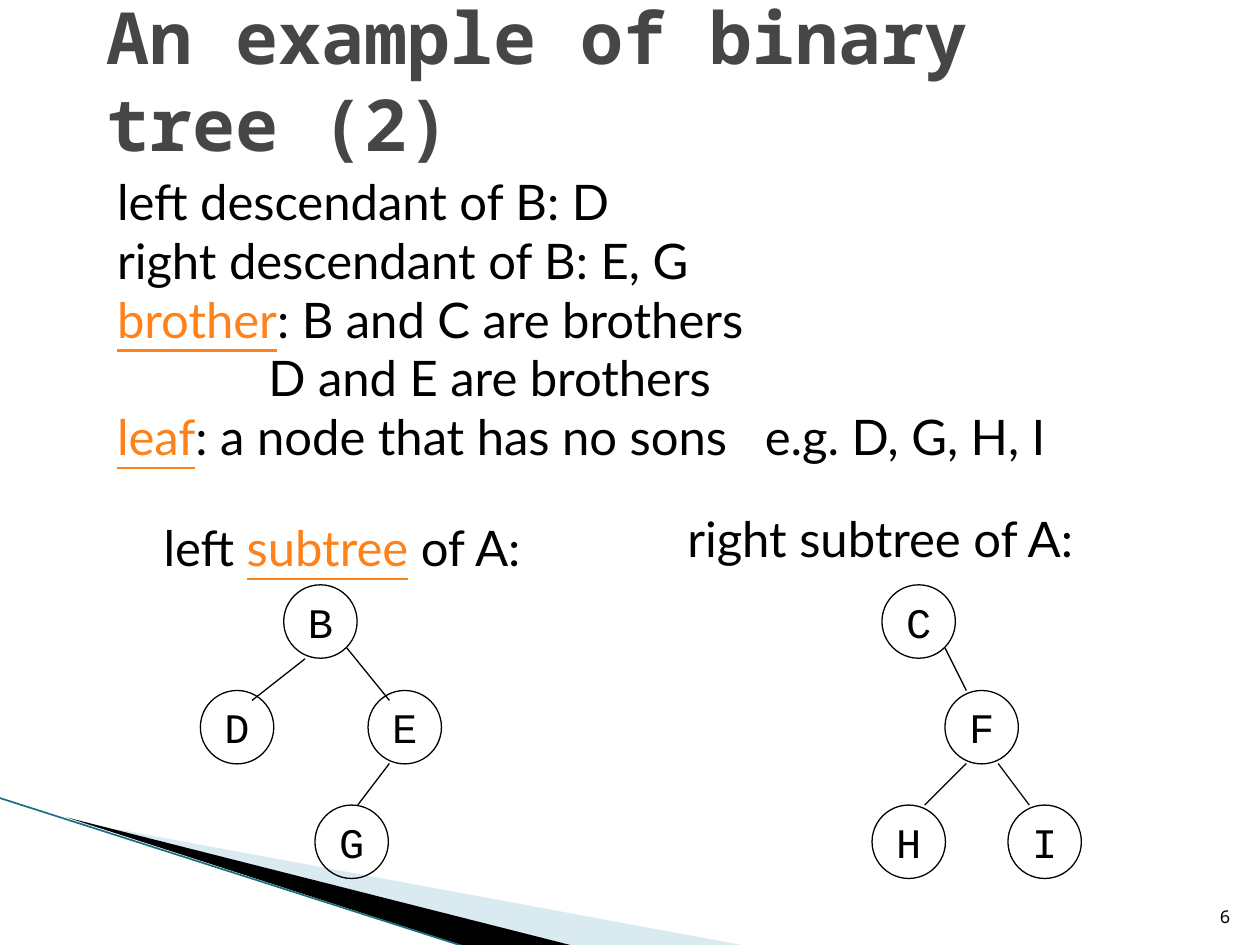
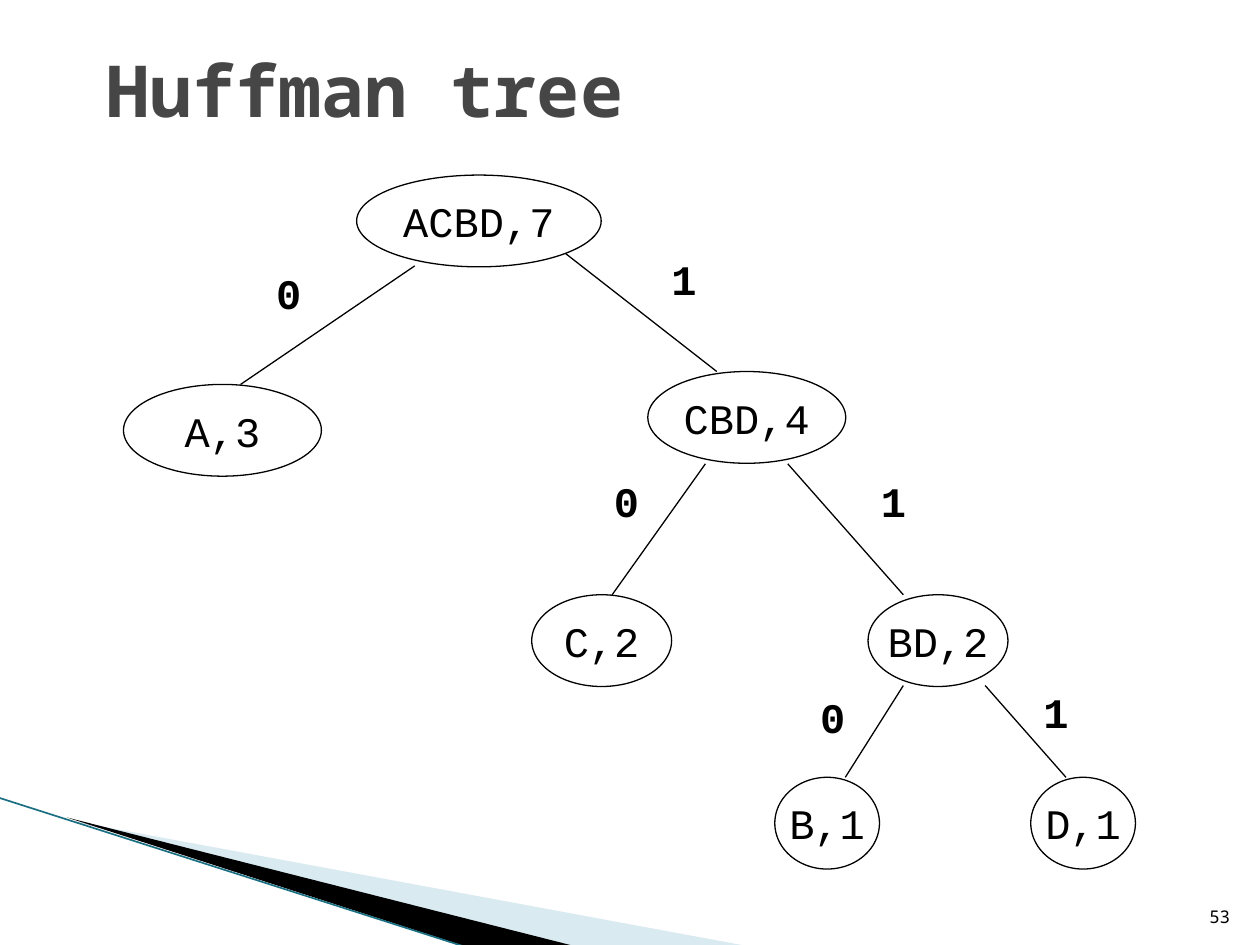
"""Build two slides on binary trees: subtrees of a node and a Huffman tree."""
from dataclasses import dataclass

from lxml import etree
from pptx import Presentation
from pptx.dml.color import RGBColor
from pptx.enum.shapes import MSO_CONNECTOR, MSO_SHAPE
from pptx.enum.text import MSO_ANCHOR, PP_ALIGN
from pptx.oxml.ns import qn
from pptx.util import Cm, Pt

LEFT, CENTER, RIGHT = PP_ALIGN.LEFT, PP_ALIGN.CENTER, PP_ALIGN.RIGHT
TOP, MIDDLE, BOTTOM = MSO_ANCHOR.TOP, MSO_ANCHOR.MIDDLE, MSO_ANCHOR.BOTTOM
OVAL, STRAIGHT = MSO_SHAPE.OVAL, MSO_CONNECTOR.STRAIGHT


@dataclass(frozen=True)
class Style:
    font: str
    size: float
    color: RGBColor
    bold: bool = False


@dataclass(frozen=True)
class Theme:
    black = RGBColor(0x00, 0x00, 0x00)
    term = RGBColor(0xFF, 0x81, 0x19)
    pale_wedge = RGBColor(0xA0, 0xCB, 0xDC)
    wedge_edge = RGBColor(0x1B, 0x6F, 0x82)
    title = Style("Noto Sans Mono", 41, RGBColor(0x46, 0x46, 0x46), True)
    page_number = Style("Noto Sans Mono", 10, black)
    body = Style("Lato", 28, black)
    node = Style("Courier New", 24, black)
    bit = Style("Courier New", 24, black, True)


theme = Theme()


def write_text(shape, lines, style, align=LEFT, anchor=TOP, wrap=True):
    """Fill a shape with lines, each a list of runs; odd runs are key terms."""
    text_frame = shape.text_frame
    text_frame.word_wrap = wrap
    text_frame.vertical_anchor = anchor
    text_frame.text = "\n".join("" for _ in lines)
    for paragraph, runs in zip(text_frame.paragraphs, lines):
        paragraph.alignment = align
        for position, text in enumerate(runs):
            if not text:
                continue
            run = paragraph.add_run()
            run.text = text
            is_term = position % 2 == 1
            run.font.name = style.font
            run.font.size = Pt(style.size)
            run.font.bold = style.bold
            run.font.underline = is_term
            run.font.color.rgb = theme.term if is_term else style.color
    return text_frame


def add_line(slide, ends, color, width):
    """Draw a straight line between two points given in centimetres."""
    line = slide.shapes.add_connector(STRAIGHT, *map(Cm, ends))
    line.line.color.rgb = color
    line.line.width = Pt(width)
    etree.SubElement(line._element.spPr, qn("a:effectLst"))


subtree_size = 1.48
root_top, child_top, leaf_top = 11.79, 13.92, 16.23
huffman_height = 1.85

slide_contents = [
    {
        "title": "An example of binary tree (2)",
        "title_top": 0.33,
        "number": "6",
        "node_height": subtree_size,
        "nodes": [
            (name, left, top, subtree_size)
            for name, left, top in [
                ("B", 5.72, root_top),
                ("G", 6.35, leaf_top),
                ("D", 4.04, child_top),
                ("E", 7.42, child_top),
                ("H", 17.58, leaf_top),
                ("I", 20.32, leaf_top),
                ("C", 17.78, root_top),
                ("F", 19.05, child_top),
            ]
        ],
        "edges": [
            (6.15, 13.28, 5.08, 14.12),
            (6.99, 13.06, 7.85, 14.12),
            (7.85, 15.39, 7.21, leaf_top),
            (19.05, 13.06, 19.48, child_top),
            (19.48, 15.39, 18.64, leaf_top),
            (20.12, 15.39, 20.75, leaf_top),
        ],
        "bits": [],
    },
    {
        "title": "Huffman tree",
        "title_top": 0.53,
        "number": "53",
        "node_height": huffman_height,
        "nodes": [
            ("ACBD,7", 7.19, 3.53, 4.93),
            ("B,1", 15.62, 15.67, 2.11),
            ("BD,2", 17.5, 11.99, 2.82),
            ("CBD,4", 13.06, 7.49, 3.99),
            ("A,3", 2.49, 7.75, 3.99),
            ("C,2", 10.72, 11.99, 2.82),
            ("D,1", 20.78, 15.67, 2.11),
        ],
        "edges": [
            (8.36, 5.36, 4.85, 7.75),
            (11.4, 5.11, 14.45, 7.49),
            (14.22, 9.35, 12.34, 11.99),
            (15.88, 9.35, 18.21, 11.99),
            (18.21, 13.82, 17.04, 15.67),
            (19.86, 13.82, 21.49, 15.67),
        ],
        "bits": [
            ("0", 5.31, 5.26),
            ("1", 13.28, 4.98),
            ("0", 12.12, 9.47),
            ("1", 17.5, 9.47),
            ("0", 16.28, 13.82),
            ("1", 20.78, 13.72),
        ],
    },
]

wedges = [
    (theme.pale_wedge, 40, [(1.4, 16.54), (15.11, 19.08), (11.58, 19.08)]),
    (theme.black, 100, [(1.35, 16.48), (11.61, 19.08), (9.45, 19.1)]),
]

presentation = Presentation()
presentation.slide_width = Cm(25.4)
presentation.slide_height = Cm(19.05)
blank_layout = presentation.slide_layouts[6]

for content in slide_contents:
    slide = presentation.slides.add_slide(blank_layout)
    shapes = slide.shapes

    for color, opacity, corners in wedges:
        start, *others = [(Cm(x), Cm(y)) for x, y in corners]
        builder = shapes.build_freeform(*start)
        builder.add_line_segments(others, close=True)
        wedge = builder.convert_to_shape()
        wedge.shadow.inherit = False
        wedge.fill.solid()
        wedge.fill.fore_color.rgb = color
        wedge.line.fill.background()
        color_element = wedge._element.spPr.find(".//" + qn("a:srgbClr"))
        etree.SubElement(color_element, qn("a:alpha"), val=str(opacity * 1000))
    add_line(slide, (-0.03, 16.08, 9.42, 19.1), theme.wedge_edge, 0.95)

    title = shapes.add_textbox(Cm(1.9), Cm(content["title_top"]), Cm(21.64), Cm(2.54))
    write_text(title, [[content["title"]]], theme.title, anchor=MIDDLE)
    number = shapes.add_textbox(Cm(24.03), Cm(17.8), Cm(1.02), Cm(1.02))
    write_text(number, [[content["number"]]], theme.page_number, RIGHT, BOTTOM)

    for name, left, top, width in content["nodes"]:
        node = shapes.add_shape(
            OVAL, Cm(left), Cm(top), Cm(width), Cm(content["node_height"])
        )
        node.shadow.inherit = False
        node.fill.background()
        node.line.color.rgb = theme.black
        node.line.width = Pt(0.75)
        write_text(node, [[name]], theme.node, CENTER, MIDDLE, wrap=False)
    for ends in content["edges"]:
        add_line(slide, ends, theme.black, 0.75)
    for bit, left, top in content["bits"]:
        label = shapes.add_textbox(Cm(left), Cm(top), Cm(1.02), Cm(1.27))
        write_text(label, [[bit]], theme.bit, CENTER, wrap=False)

subtree_slide = presentation.slides[0]
definitions = subtree_slide.shapes.add_textbox(Cm(2.11), Cm(3.33), Cm(22.63), Cm(6.2))
definition_frame = write_text(
    definitions,
    [
        ["left descendant of B: D"],
        ["right descendant of B: E, G"],
        ["", "brother", ": B and C are brothers"],
        ["D and E are brothers"],
        ["", "leaf", ": a node that has no sons\te.g. D, G, H, I"],
    ],
    theme.body,
)
second_brothers, leaf = definition_frame.paragraphs[3:]
second_brothers._p.get_or_add_pPr().set("marL", str(Cm(3.05)))
tab_list = etree.SubElement(leaf._p.get_or_add_pPr(), qn("a:tabLst"))
etree.SubElement(tab_list, qn("a:tab"), pos=str(Cm(13.06)), algn="l")

for runs, left, top, width in [
    (["left ", "subtree", " of A:"], 2.03, 10.31, 9.73),
    (["right subtree of A:"], 13.49, 10.13, 8.51),
]:
    heading = subtree_slide.shapes.add_textbox(Cm(left), Cm(top), Cm(width), Cm(1.45))
    write_text(heading, [runs], theme.body, CENTER)

presentation.save("out.pptx")
